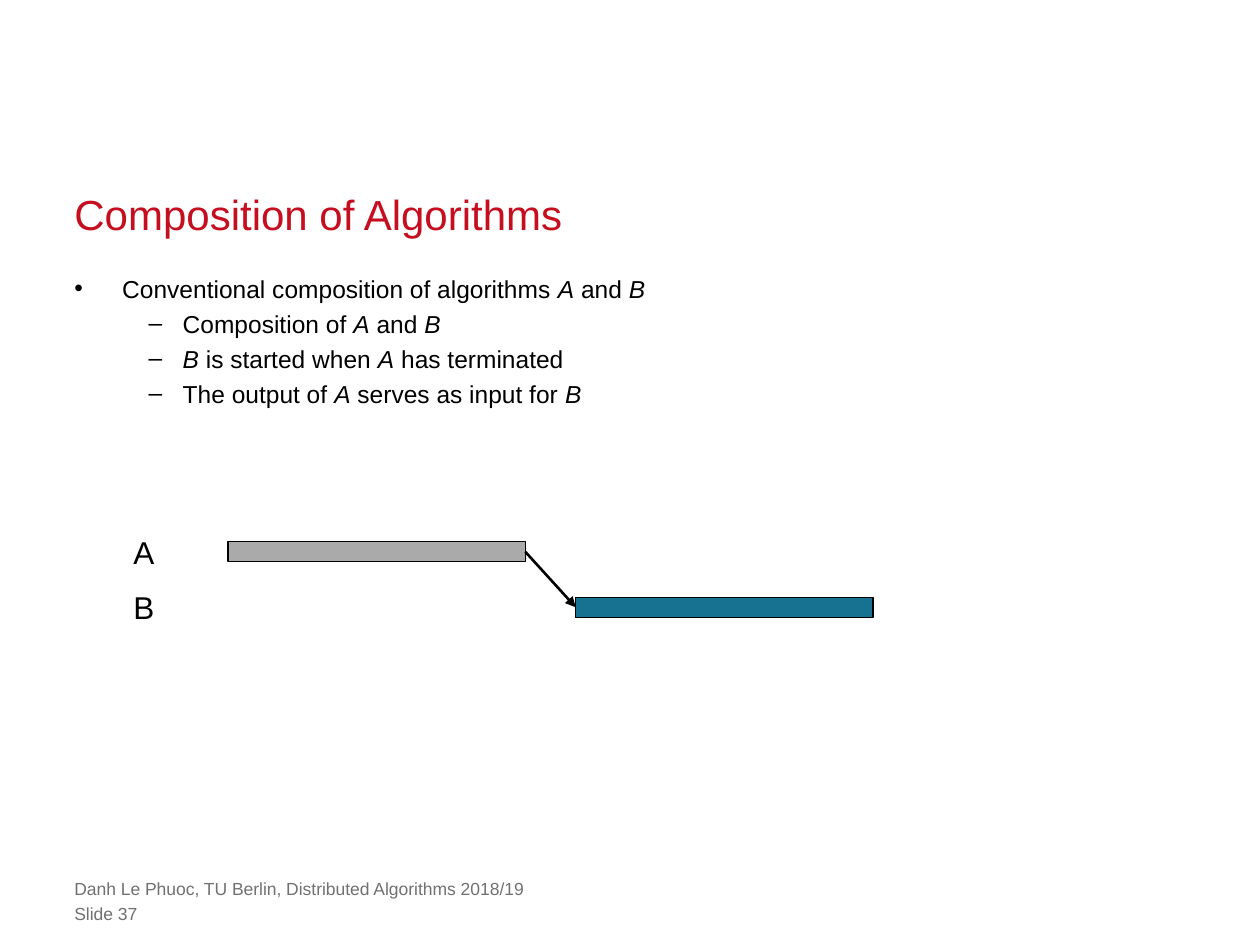
"""Build the slide on conventional composition of two algorithms."""
from lxml import etree
from pptx import Presentation
from pptx.dml.color import RGBColor
from pptx.enum import shapes, text
from pptx.oxml import ns
from pptx.util import Inches, Pt

COLORS = {"title": "C50E1F", "ink": "000000", "footer": "717171",
          "A": "AAAAAA", "B": "177191"}
FONT = "Arial"
TITLE = "Composition of Algorithms"
ALGORITHMS = ("A", "B")
BULLETS = [
    (0, ["Conventional composition of algorithms ", "A", " and ", "B"]),
    (1, ["Composition of ", "A", " and ", "B"]),
    (1, ["B", " is started when ", "A", " has terminated"]),
    (1, ["The output of ", "A", " serves as input for ", "B"]),
]
LEVELS = [
    {"mark": "•", "margin": 0.38, "indent": -0.38, "before": 0, "line": Pt(22)},
    {"mark": "–", "margin": 0.86, "indent": -0.27, "before": 3.2, "line": 1.0},
]
FOOTER = ["Danh Le Phuoc, TU Berlin, Distributed Algorithms 2018/19", "Slide 37"]
LEFT, WIDTH = 0.59, 8.82
BAR_LEFT, BAR_TOP, BAR_WIDTH, BAR_HEIGHT = 1.81, 4.3, 2.36, 0.16
BAR_GAP, ROW_STEP = 0.4, 0.44


def rgb(name):
    return RGBColor.from_string(COLORS[name])


def add_span(para, words, size, color, italic=False):
    span = para.add_run()
    span.text = words
    span.font.name, span.font.size = FONT, Pt(size)
    span.font.italic = italic
    span.font.color.rgb = rgb(color)


def place(box, left, top, width, height):
    box.left, box.top = Inches(left), Inches(top)
    box.width, box.height = Inches(width), Inches(height)


def set_frame(frame, anchor=text.MSO_ANCHOR.TOP):
    frame.margin_left = frame.margin_right = 0
    frame.margin_top = frame.margin_bottom = 0
    frame.word_wrap = True
    frame.auto_size = text.MSO_AUTO_SIZE.NONE
    frame.vertical_anchor = anchor


def add_title(page):
    box = page.shapes.title
    place(box, LEFT, 1.48, WIDTH, 0.42)
    set_frame(box.text_frame, text.MSO_ANCHOR.BOTTOM)
    para = box.text_frame.paragraphs[0]
    para.alignment = text.PP_ALIGN.LEFT
    para.line_spacing = Pt(30)
    add_span(para, TITLE, 24, "title")


def add_bullets(page):
    box = page.placeholders[1]
    place(box, LEFT, 2.1, WIDTH, 4.45)
    frame = box.text_frame
    set_frame(frame)
    for index, (level, spans) in enumerate(BULLETS):
        para = frame.paragraphs[0] if index == 0 else frame.add_paragraph()
        style = LEVELS[level]
        para.level = level
        para.line_spacing = style["line"]
        para.space_before = Pt(style["before"])
        props = para._p.get_or_add_pPr()
        props.set("marL", str(Inches(style["margin"])))
        props.set("indent", str(Inches(style["indent"])))
        etree.SubElement(props, ns.qn("a:buChar")).set("char", style["mark"])
        for words in spans:
            add_span(para, words, 14, "ink", words in ALGORITHMS)


def add_timeline(page):
    bars = []
    for row, name in enumerate(ALGORITHMS):
        top = BAR_TOP + row * ROW_STEP
        label = page.shapes.add_textbox(
            Inches(0.96), Inches(top - 0.12), Inches(0.37), Inches(0.4))
        label.text_frame.word_wrap = False
        label.text_frame.auto_size = text.MSO_AUTO_SIZE.SHAPE_TO_FIT_TEXT
        add_span(label.text_frame.paragraphs[0], name, 18, "ink")
        bar = page.shapes.add_shape(
            shapes.MSO_SHAPE.RECTANGLE,
            Inches(BAR_LEFT + row * (BAR_WIDTH + BAR_GAP)), Inches(top),
            Inches(BAR_WIDTH), Inches(BAR_HEIGHT))
        bar.shadow.inherit = False
        bar.fill.solid()
        bar.fill.fore_color.rgb = rgb(name)
        bar.line.color.rgb = rgb("ink")
        bar.line.width = Pt(0.75)
        bars.append(bar)
    arrow = page.shapes.add_connector(shapes.MSO_CONNECTOR.STRAIGHT, 0, 0, 0, 0)
    arrow.begin_connect(bars[0], 3)
    arrow.end_connect(bars[1], 1)
    arrow.line.color.rgb = rgb("ink")
    arrow.line.width = Pt(1.5)
    etree.SubElement(arrow.line._get_or_add_ln(), ns.qn("a:tailEnd")).set("type", "triangle")
    etree.SubElement(arrow._element.spPr, ns.qn("a:effectLst"))


def add_footer(page):
    for row, words in enumerate(FOOTER):
        box = page.shapes.add_textbox(
            Inches(LEFT), Inches(6.97 + row * 0.2), Inches(7.24), Inches(0.17))
        set_frame(box.text_frame)
        add_span(box.text_frame.paragraphs[0], words, 10, "footer")


def main():
    deck = Presentation()
    deck.slide_width, deck.slide_height = Inches(10), Inches(7.5)
    page = deck.slides.add_slide(deck.slide_layouts[1])
    add_title(page)
    add_bullets(page)
    add_timeline(page)
    add_footer(page)
    deck.save("out.pptx")


if __name__ == "__main__":
    main()
